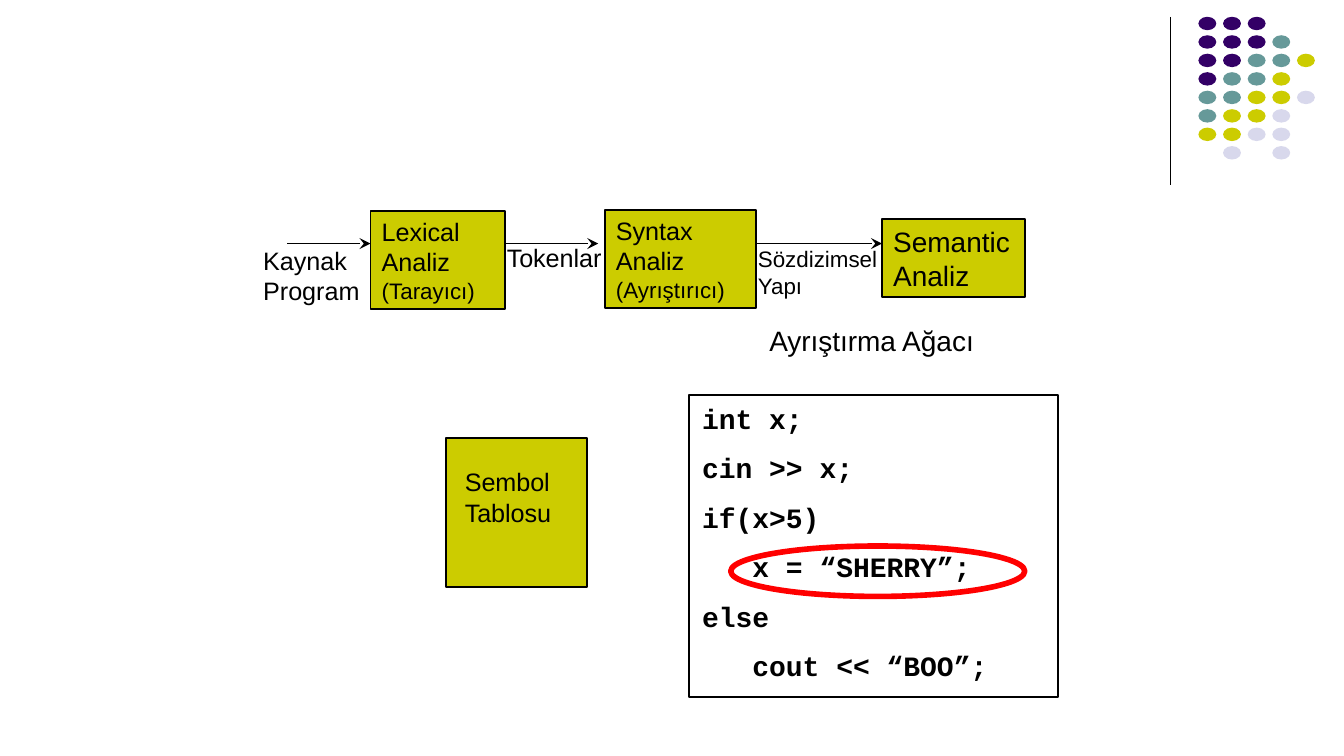
from dataclasses import dataclass

from lxml.etree import SubElement
from pptx import Presentation
from pptx.dml.color import RGBColor
from pptx.enum.shapes import MSO_CONNECTOR, MSO_SHAPE
from pptx.enum.text import MSO_ANCHOR, PP_ALIGN
from pptx.oxml.ns import qn
from pptx.util import Pt


@dataclass(frozen=True)
class Theme:
    black: str = "000000"
    olive: str = "CCCC00"
    purple: str = "330066"
    teal: str = "669999"
    lilac: str = "D8D8EC"
    red: str = "FF0000"
    sans: str = "Arial"
    mono: str = "Courier New"
    large: float = 15
    medium: float = 13.5
    small: float = 12
    code_gap: float = 8.5


THEME = Theme()
TIGHT = (6, 3)
NORMAL = (7.2, 3.6)

DOT_ROWS = ["PPP", "PPPT", "PPTTO", "PTTO", "TTOOL", "TOOL", "OOLL", " L L"]
DOT_COLOURS = {"P": THEME.purple, "T": THEME.teal,
               "O": THEME.olive, "L": THEME.lilac}

CODE = [
    "int x;",
    "cin >> x;",
    "if(x>5)",
    "   x = “SHERRY”;",
    "else",
    "   cout << “BOO”;",
]


def set_values(target, values):
    for attribute, value in values.items():
        setattr(target, attribute, value)


def write(frame, paragraphs, inset=TIGHT, font=THEME.sans, bold=False, gap=0):
    """Fill a text frame; each paragraph is a list of (text, size) runs."""
    across, down = (Pt(value) for value in inset)
    set_values(frame, {
        "word_wrap": True, "vertical_anchor": MSO_ANCHOR.TOP,
        "margin_left": across, "margin_right": across,
        "margin_top": down, "margin_bottom": down,
    })
    for index, runs in enumerate(paragraphs):
        paragraph = frame.paragraphs[0] if index == 0 else frame.add_paragraph()
        paragraph.alignment = PP_ALIGN.LEFT
        if index and gap:
            paragraph.space_before = Pt(gap)
        for text, size in runs:
            run = paragraph.add_run()
            run.text = text
            set_values(run.font, {"name": font, "size": Pt(size), "bold": bold})
            run.font.color.rgb = RGBColor.from_string(THEME.black)


def add_figure(slide, kind, box, fill=None, line=None, weight=1):
    figure = slide.shapes.add_shape(kind, *(Pt(value) for value in box))
    figure.shadow.inherit = False
    if fill:
        figure.fill.solid()
        figure.fill.fore_color.rgb = RGBColor.from_string(fill)
    else:
        figure.fill.background()
    if line:
        figure.line.color.rgb = RGBColor.from_string(line)
        figure.line.width = Pt(weight)
    else:
        figure.line.fill.background()
    return figure


def add_stage(slide, box, paragraphs=()):
    stage = add_figure(slide, MSO_SHAPE.RECTANGLE, box, THEME.olive, THEME.black)
    if paragraphs:
        write(stage.text_frame, paragraphs)


def add_label(slide, box, text, size, inset=TIGHT):
    label = slide.shapes.add_textbox(*(Pt(value) for value in box))
    write(label.text_frame, [[(text, size)]], inset)


def add_line(slide, start, end, weight=1, arrow=False):
    line = slide.shapes.add_connector(
        MSO_CONNECTOR.STRAIGHT, *(Pt(value) for value in (*start, *end)))
    line.line.color.rgb = RGBColor.from_string(THEME.black)
    line.line.width = Pt(weight)
    if arrow:
        SubElement(line.line._get_or_add_ln(), qn("a:tailEnd"), type="stealth")
    SubElement(line._element.spPr, qn("a:effectLst"))


def add_flow_arrow(slide, left, right):
    add_line(slide, (left, 130.5), (right, 130.5), arrow=True)


def add_dots(slide):
    for row, letters in enumerate(DOT_ROWS):
        for column, letter in enumerate(letters):
            if letter in DOT_COLOURS:
                box = (642 + 13.2 * column, 9 + 9.9 * row, 9.6, 7.2)
                add_figure(slide, MSO_SHAPE.OVAL, box, DOT_COLOURS[letter])


def main():
    deck = Presentation()
    set_values(deck, {"slide_width": Pt(720), "slide_height": Pt(405)})
    slide = deck.slides.add_slide(deck.slide_layouts[6])

    # Corner decoration
    add_line(slide, (627, 9), (627, 99), 0.75)
    add_dots(slide)

    # Semantic analysis and symbol table
    add_stage(slide, (472.5, 117.5, 76.5, 41.5),
              [[("Semantic Analiz", THEME.large)]])
    add_stage(slide, (239, 234.5, 75.5, 80))
    add_label(slide, (243, 247, 63.5, 38), "Sembol Tablosu", THEME.medium)

    # Sample code with the highlighted statement
    listing = add_figure(slide, MSO_SHAPE.RECTANGLE, (369, 211.5, 198, 162),
                         line=THEME.black)
    write(listing.text_frame, [[(text, THEME.large)] for text in CODE],
          NORMAL, THEME.mono, True, THEME.code_gap)
    add_figure(slide, MSO_SHAPE.OVAL, (391.5, 292.5, 157.5, 27),
               line=THEME.red, weight=3)

    # Syntax analysis and its output
    add_stage(slide, (324, 112.5, 81, 52.5),
              [[("Syntax Analiz", THEME.medium)],
               [("(Ayrıştırıcı)", THEME.small)]])
    add_label(slide, (400, 128.2, 78.5, 34.5), "Sözdizimsel Yapı", THEME.small)
    add_flow_arrow(slide, 405, 472.5)
    add_label(slide, (405, 170, 126, 25), "Ayrıştırma Ağacı", THEME.large, NORMAL)

    # Lexical analysis with its input and output
    add_stage(slide, (198.5, 113, 72, 52.5),
              [[("Lexical Analiz ", THEME.medium), ("(Tarayıcı)", THEME.small)]])
    add_flow_arrow(slide, 154, 198.5)
    add_label(slide, (135, 128.2, 78.5, 38), "Kaynak Program", THEME.medium)
    add_label(slide, (265.5, 126.7, 69, 21.5), "Tokenlar", THEME.medium)
    add_flow_arrow(slide, 270.5, 320.5)

    deck.save("out.pptx")


if __name__ == "__main__":
    main()
